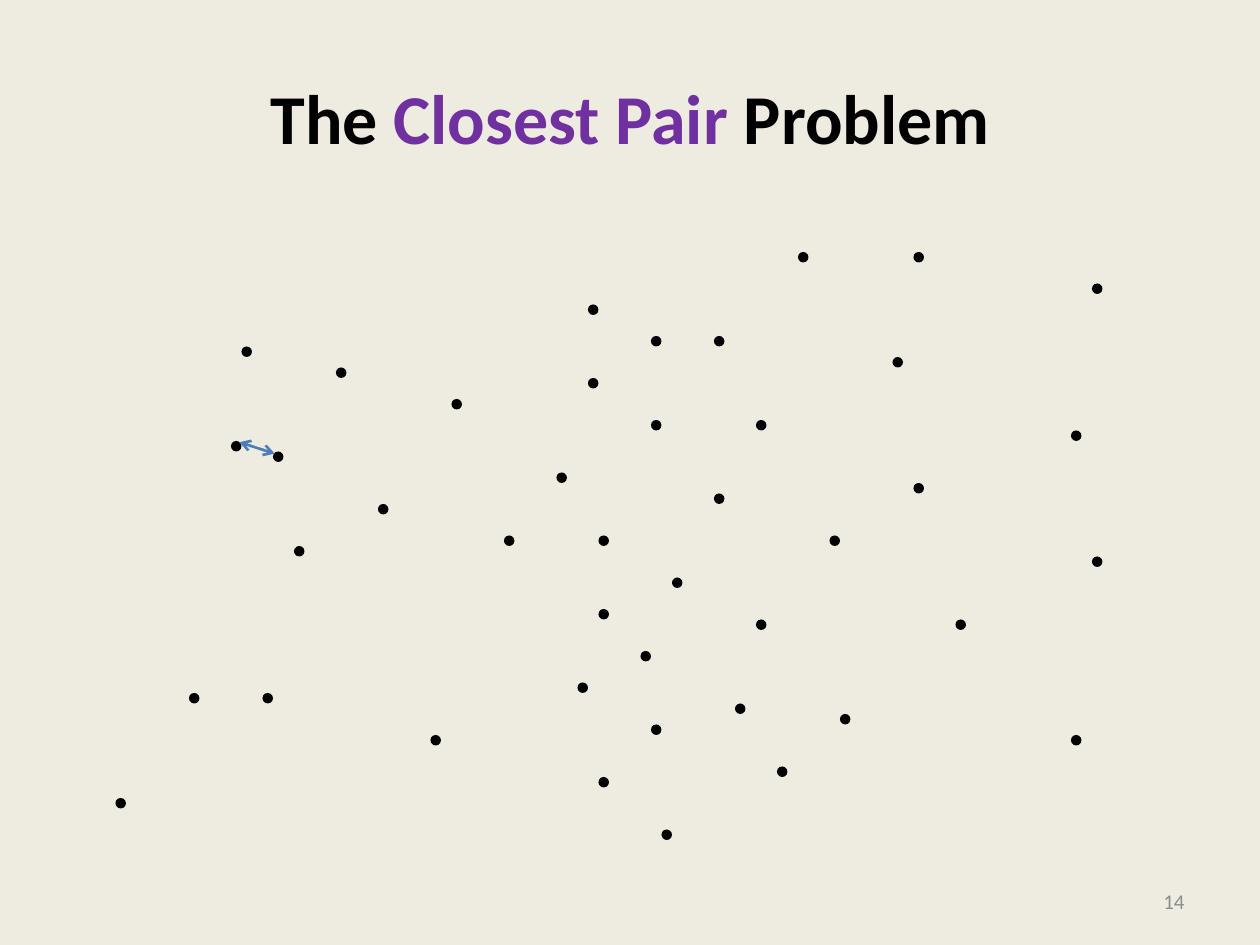
from lxml.etree import SubElement
from pptx import Presentation
from pptx.dml.color import RGBColor
from pptx.enum.shapes import MSO_CONNECTOR, MSO_SHAPE
from pptx.enum.text import MSO_ANCHOR, PP_ALIGN
from pptx.oxml.ns import qn
from pptx.util import Inches, Pt

BLACK = RGBColor(0, 0, 0)
PURPLE = RGBColor(0x70, 0x30, 0xA0)
GRAY = RGBColor(0x8C, 0x8C, 0x8C)
BLUE = RGBColor(0x4B, 0x7E, 0xBC)
CREAM = RGBColor(0xEE, 0xEC, 0xE1)
FONT = "Calibri"

# Content: title runs, page number, and dots in grid steps (column, row)
TITLE = [("The ", BLACK), ("Closest Pair ", PURPLE), ("Problem", BLACK)]
PAGE = "14"
STEP = 1 / 12
DOTS = [
    (43, 38), (48, 51), (87, 46), (61, 62), (55, 65), (79, 51), (80, 68),
    (68, 32), (41, 70), (36, 48), (91, 59), (85, 34), (70, 67), (32, 35),
    (26, 43), (28, 52), (22, 42), (25, 66), (23, 33), (56, 29), (72, 40),
    (72, 59), (74, 73), (76, 24), (87, 24), (102, 41), (104, 53), (104, 27),
    (102, 70), (18, 66), (11, 76), (57, 51), (57, 74), (63, 79), (62, 69),
    (57, 58), (64, 55), (62, 40), (62, 32), (56, 36), (53, 45), (68, 47),
]
ARROW = (2.18, 3.6, 1.9, 3.51)


def add_run(para, text, size, color, bold=False):
    run = para.add_run()
    run.text = text
    font = run.font
    font.name, font.size, font.bold = FONT, Pt(size), bold
    font.color.rgb = color


def place(shape, left, top, width, height):
    shape.left, shape.top = Inches(left), Inches(top)
    shape.width, shape.height = Inches(width), Inches(height)


deck = Presentation()
deck.slide_width, deck.slide_height = Inches(10), Inches(7.5)
slide = deck.slides.add_slide(deck.slide_layouts[5])
slide.background.fill.solid()
slide.background.fill.fore_color.rgb = CREAM
shapes = slide.shapes

# Title
title = shapes.title
place(title, 0.5, 0.3, 9, 1.25)
title.text_frame.vertical_anchor = MSO_ANCHOR.MIDDLE
para = title.text_frame.paragraphs[0]
para.alignment = PP_ALIGN.CENTER
for text, color in TITLE:
    add_run(para, text, 40, color, bold=True)

# Page number
page = shapes.add_textbox(Inches(7.17), Inches(6.95), Inches(2.33), Inches(0.4))
page.text_frame.word_wrap = True
page.text_frame.vertical_anchor = MSO_ANCHOR.MIDDLE
para = page.text_frame.paragraphs[0]
para.alignment = PP_ALIGN.RIGHT
add_run(para, PAGE, 12, GRAY)

# Dots, each one grid step wide
for col, row in DOTS:
    dot = shapes.add_shape(MSO_SHAPE.OVAL, Inches(col * STEP),
                           Inches(row * STEP), Inches(STEP), Inches(STEP))
    dot.shadow.inherit = False
    dot.fill.solid()
    dot.fill.fore_color.rgb = BLACK
    dot.line.fill.background()

# Arrow between the closest pair
arrow = shapes.add_connector(MSO_CONNECTOR.STRAIGHT, *map(Inches, ARROW))
arrow.line.color.rgb = BLUE
arrow.line.width = Pt(1.5)
line = arrow.line._get_or_add_ln()
for end in ("a:headEnd", "a:tailEnd"):
    SubElement(line, qn(end), type="arrow")
SubElement(arrow._element.spPr, qn("a:effectLst"))

deck.save("out.pptx")
